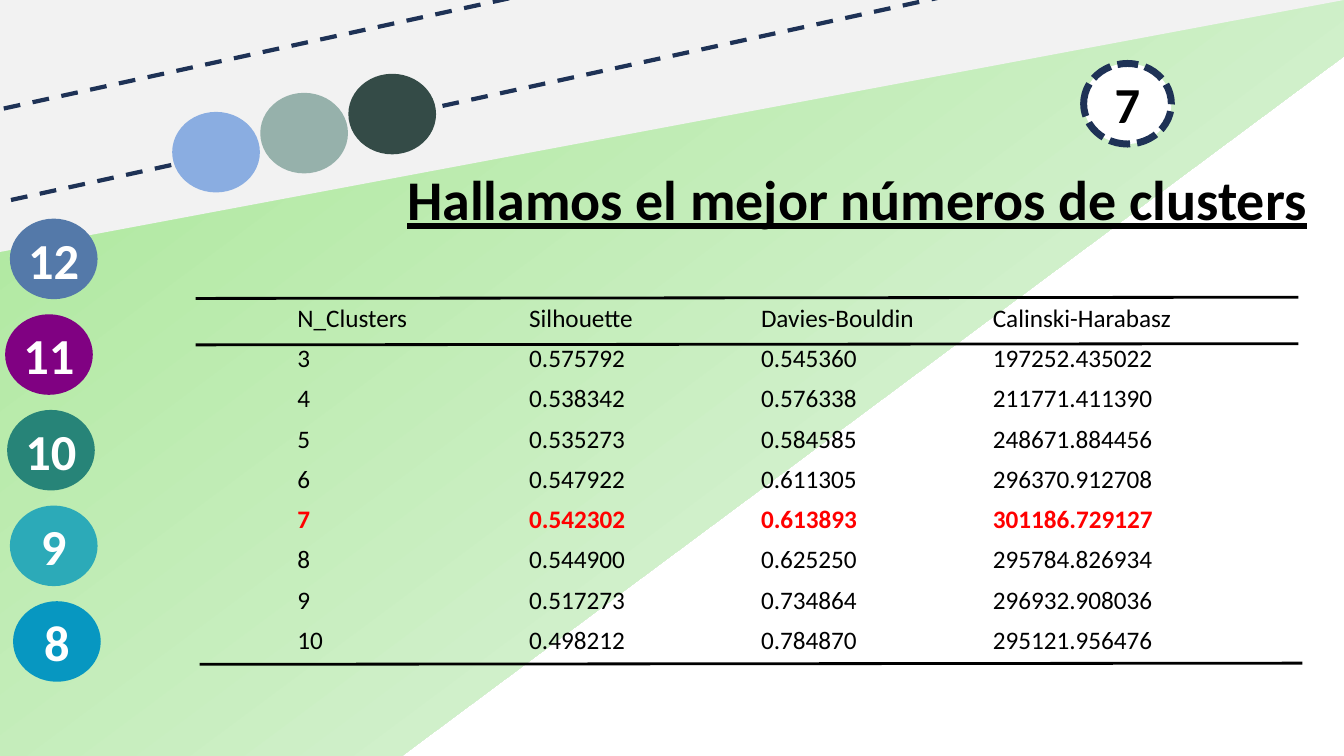
from dataclasses import dataclass

from lxml.etree import SubElement
from pptx import Presentation
from pptx.dml.color import RGBColor
from pptx.enum.dml import MSO_LINE
from pptx.enum.shapes import MSO_CONNECTOR, MSO_SHAPE
from pptx.enum.text import MSO_ANCHOR, MSO_AUTO_SIZE, PP_ALIGN
from pptx.oxml.ns import qn
from pptx.util import Cm, Pt


@dataclass(frozen=True)
class Theme:
    """Colours, font and type sizes of the slide."""
    font: str = "Calibri"
    title: int = 40
    number: int = 36
    cell: int = 18
    ink: str = "000000"
    paper: str = "FFFFFF"
    accent: str = "FF0000"
    navy: str = "1E3256"
    grey: str = "F2F2F2"
    green: tuple = ((0, "F6F8FC"), (74, "A3E68F"), (83, "A3E68F"), (100, "A3E68F"))
    tube: tuple = ("8AADE1", "96B1AB", "344B47")


T = Theme()
W, H = 33.87, 19.05
BALL_W, BALL_H = 2.21, 2.03
NO_GRID = "{2D5ABB26-0587-4C30-8999-92F81FD0307C}"

BALLS = (
    ("12", "5479A9", 0.25),
    ("11", "800182", 0.13),
    ("10", "278478", 0.18),
    ("9", "2CAAB8", 0.25),
    ("8", "0797C1", 0.33),
)
SCORES = (
    ("N_Clusters", "Silhouette", "Davies-Bouldin", "Calinski-Harabasz"),
    ("3", "0.575792", "0.545360", "197252.435022"),
    ("4", "0.538342", "0.576338", "211771.411390"),
    ("5", "0.535273", "0.584585", "248671.884456"),
    ("6", "0.547922", "0.611305", "296370.912708"),
    ("7", "0.542302", "0.613893", "301186.729127"),
    ("8", "0.544900", "0.625250", "295784.826934"),
    ("9", "0.517273", "0.734864", "296932.908036"),
    ("10", "0.498212", "0.784870", "295121.956476"),
)
BEST = "7"


def write(tf, text, size, color=T.ink, bold=False, underline=False, align=PP_ALIGN.LEFT):
    """Put one formatted run of text in a text frame."""
    p = tf.paragraphs[0]
    p.alignment = align
    r = p.add_run()
    r.text = text
    r.font.name = T.font
    r.font.size = Pt(size)
    r.font.bold = bold
    r.font.underline = underline
    r.font.color.rgb = RGBColor.from_string(color)


def add_form(s, kind, x, y, w, h, color=None, rot=0, line=None):
    """Add a preset shape with an optional (width, dash) outline."""
    sp = s.shapes.add_shape(kind, Cm(x), Cm(y), Cm(w), Cm(h))
    sp.rotation = rot
    sp.shadow.inherit = False
    if color:
        sp.fill.solid()
        sp.fill.fore_color.rgb = RGBColor.from_string(color)
    if line:
        width, dash = line
        sp.line.color.rgb = RGBColor.from_string(T.navy)
        sp.line.width = Pt(width)
        sp.line.dash_style = dash
    else:
        sp.line.fill.background()
    return sp


def add_ball(s, x, y, color, text="", text_color=T.paper, line=None):
    """Add a ball, numbered when text is given."""
    sp = add_form(s, MSO_SHAPE.OVAL, x, y, BALL_W, BALL_H, color, line=line)
    if text:
        tf = sp.text_frame
        tf.margin_left = tf.margin_right = tf.margin_top = tf.margin_bottom = 0
        tf.word_wrap = False
        tf.vertical_anchor = MSO_ANCHOR.MIDDLE
        write(tf, text, T.number, text_color, bold=True, align=PP_ALIGN.CENTER)


def add_backdrop(s, x, y, w):
    """Lay the green band and the grey corner across the given width."""
    band = add_form(s, MSO_SHAPE.RIGHT_TRIANGLE, x - 6.5, y - 6.71, 42.93, 19.74, rot=323.4)
    band.fill.gradient()
    band.fill.gradient_angle = 90
    stops = band._element.spPr.find(".//" + qn("a:gsLst"))
    for stop in list(stops):
        stops.remove(stop)
    for pos, color in T.green:
        stop = SubElement(stops, qn("a:gs"), pos=str(pos * 1000))
        SubElement(stop, qn("a:srgbClr"), val=color)
    depth = 6.35
    add_form(s, MSO_SHAPE.RIGHT_TRIANGLE, x + (w - depth) / 2, y + (depth - w) / 2,
             depth, w, T.grey, rot=90)


def add_tube(s, x, y, w, h):
    """Draw the tilted tube and the balls inside it around the given box."""
    add_form(s, MSO_SHAPE.CAN, x + (w - h) / 2, y + (h - w) / 2, h, w,
             T.grey, rot=257.7, line=(3, MSO_LINE.DASH))
    for i, color in enumerate(T.tube):
        add_ball(s, x + 6.37 + 2.22 * i, y + 2.96 - 0.48 * i, color)


def add_drawn_balls(s, x, y, step):
    """Stack the numbered balls downwards from the given corner."""
    for i, (text, color, dx) in enumerate(BALLS):
        add_ball(s, x + dx, y + step * i, color, text)


def add_title(s, text, x, y, w, h):
    """Move the title placeholder into the box, in front of the backdrop."""
    sp = s.shapes.title
    sp.left, sp.top, sp.width, sp.height = Cm(x), Cm(y), Cm(w), Cm(h)
    tf = sp.text_frame
    tf.word_wrap = True
    tf.auto_size = MSO_AUTO_SIZE.NONE
    tf.vertical_anchor = MSO_ANCHOR.MIDDLE
    write(tf, text, T.title, bold=True, underline=True)
    sp._element.getparent().append(sp._element)


def add_rule(s, x, y, w):
    """Draw one rule of the table, rising slightly to the right."""
    c = s.shapes.add_connector(MSO_CONNECTOR.STRAIGHT, Cm(x), Cm(y), Cm(x + w), Cm(y - 0.03))
    c.line.color.rgb = RGBColor.from_string(T.ink)
    c.line.width = Pt(2)
    SubElement(c._element.spPr, qn("a:effectLst"))


def add_scores(s, x, y, w, h):
    """Fill the box with the table of scores and its three rules."""
    rows, cols = len(SCORES), len(SCORES[0])
    tbl = s.shapes.add_table(rows, cols, Cm(x), Cm(y), Cm(w), Cm(h)).table
    tbl.first_row = tbl.horz_banding = False
    tbl._tbl.tblPr.find(qn("a:tableStyleId")).text = NO_GRID
    for i, row in enumerate(SCORES):
        best = row[0] == BEST
        for j, text in enumerate(row):
            cell = tbl.cell(i, j)
            cell.fill.background()
            cell.margin_top = cell.margin_bottom = 0
            cell.vertical_anchor = MSO_ANCHOR.MIDDLE
            write(cell.text_frame, text, T.cell, T.accent if best else T.ink, bold=best)
    for dx, dy in ((-2.31, 0), (-2.31, 1.17), (-2.21, h + 0.08)):
        add_rule(s, x + dx, y + dy, 27.79)


def build_slide(prs):
    """Compose the slide on the best number of clusters."""
    s = prs.slides.add_slide(prs.slide_layouts[5])
    add_backdrop(s, 0, 0, W)
    add_tube(s, -2.03, -0.14, 30.86, 2.29)
    add_drawn_balls(s, 0, 5.51, 2.41)
    add_ball(s, 27.31, 1.6, T.paper, "7", T.ink, line=(5, MSO_LINE.SQUARE_DOT))
    add_title(s, "Hallamos el mejor números de clusters", 10.01, 4.01, 23.44, 1.96)
    add_scores(s, 7.24, 7.52, 23.37, 9.14)


def main():
    """Build and save the presentation."""
    prs = Presentation()
    prs.slide_width, prs.slide_height = Cm(W), Cm(H)
    build_slide(prs)
    prs.save("out.pptx")


if __name__ == "__main__":
    main()
